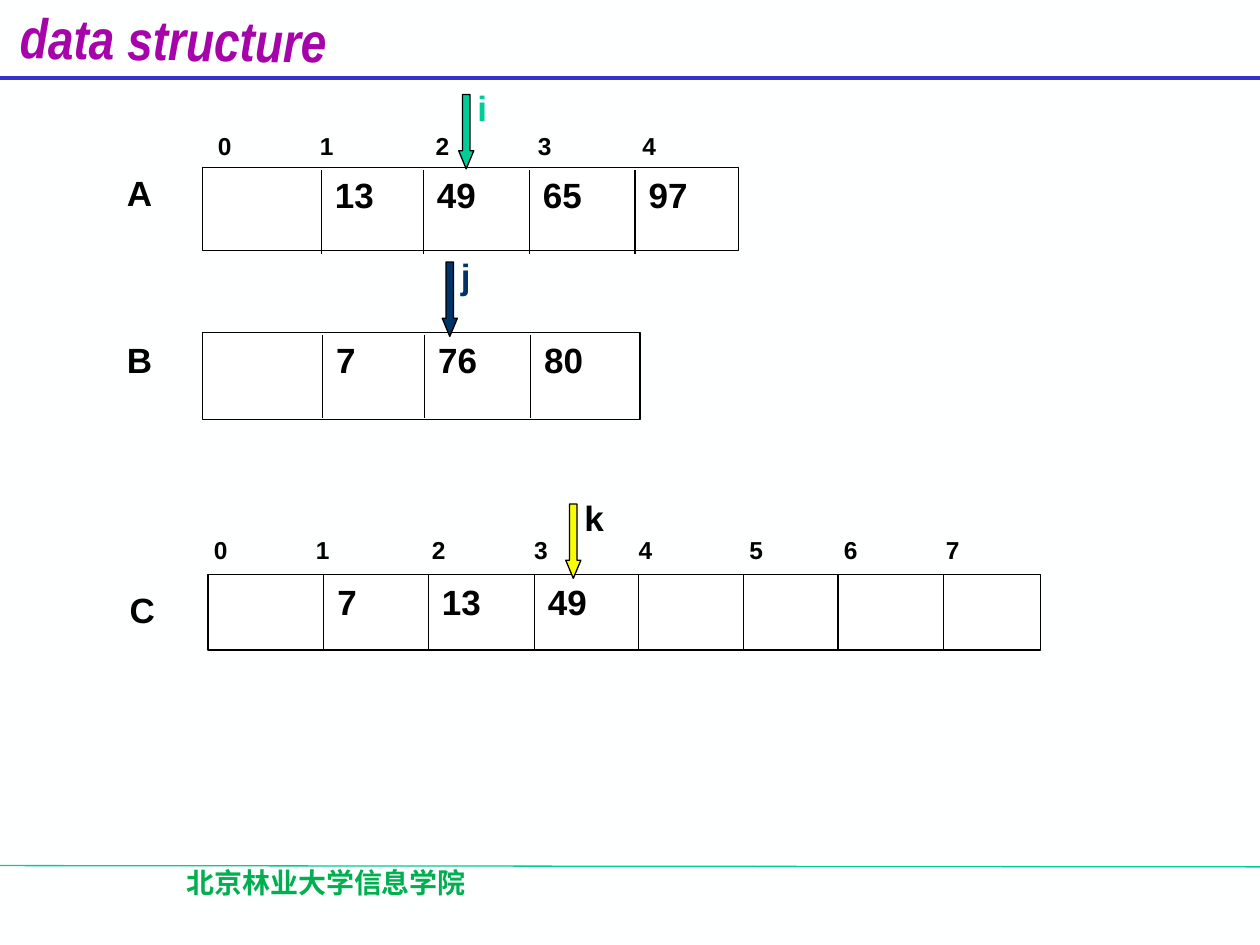
from lxml import etree
from pptx import Presentation
from pptx import util as u
from pptx.dml.color import RGBColor
from pptx.enum import shapes, text
from pptx.oxml.ns import qn

COLORS = {
    "background": "FEFFFF",
    "cell": "FFFFFF",
    "ink": "000000",
    "title": "A603AB",
    "header rule": "3333CC",
    "green": "00CC99",
    "navy": "003366",
    "yellow": "FAFD00",
    "footer": "00B050",
}
INDEX_TABS = [0.81, 1.73, 2.54, 3.37, 4.25, 5, 5.81]

# Each array: name, label place, top, height, column edges, divider span, values
ARRAYS = [
    ("A", (0.91, 1.31), 1.33, 0.66, [1.61, 2.55, 3.36, 4.2, 5.04, 5.86],
     (1.35, 2.02), ["13", "49", "65", "97"]),
    ("B", (0.91, 2.64), 2.64, 0.69, [1.61, 2.56, 3.37, 4.21, 5.08],
     (2.66, 3.32), ["7", "76", "80"]),
    ("C", (0.93, 4.62), 4.56, 0.6,
     [1.65, 2.57, 3.4, 4.24, 5.07, 5.9, 6.65, 7.49, 8.26],
     (4.56, 5.17), ["7", "13", "49"]),
]
# Each pointer: name, arrow left, arrow top, arrow colour, name colour
POINTERS = [
    ("i", 3.64, 0.75, "green", "green"),
    ("j", 3.51, 2.08, "navy", "navy"),
    ("k", 4.49, 4, "yellow", "ink"),
]


def color(name):
    return RGBColor.from_string(COLORS[name])


def style(para, size, ink="ink", face="Arial"):
    font = para.font
    font.name, font.size, font.bold = face, u.Pt(size), True
    font.color.rgb = color(ink)


def add_text(parent, words, left, top, width, height, size=20, ink="ink", face="Arial"):
    box = parent.add_textbox(*map(u.Inches, (left, top, width, height)))
    box.text_frame.word_wrap = True
    para = box.text_frame.paragraphs[0]
    para.text = words
    style(para, size, ink, face)
    return para


def add_line(slide, start, end, ink="ink", weight=0.75):
    line = slide.shapes.add_connector(
        shapes.MSO_CONNECTOR.STRAIGHT, *map(u.Inches, (*start, *end)))
    line.line.color.rgb = color(ink)
    line.line.width = u.Pt(weight)
    etree.SubElement(line._element.spPr, qn("a:effectLst"))


def add_block(parent, kind, left, top, width, height, fill):
    block = parent.add_shape(kind, *map(u.Inches, (left, top, width, height)))
    block.shadow.inherit = False
    block.fill.solid()
    block.fill.fore_color.rgb = color(fill)
    block.line.color.rgb = color("ink")
    block.line.width = u.Pt(0.75)
    return block


def add_title(slide, words):
    title = slide.shapes.title
    title.left, title.top, title.width, title.height = map(
        u.Inches, (0.06, -0.01, 2.8, 0.54))
    title.rotation = 0.8
    frame = title.text_frame
    frame.text = words
    frame.word_wrap = True
    frame.auto_size = text.MSO_AUTO_SIZE.NONE
    frame.vertical_anchor = text.MSO_ANCHOR.TOP
    para = frame.paragraphs[0]
    para.alignment = text.PP_ALIGN.LEFT
    style(para, 32, "title", "Arial Narrow")
    para.font.italic = True


def add_footer(slide, words):
    face = "Noto Sans CJK SC"
    para = add_text(slide.shapes, words, 0.52, 6.82, 4.14, 0.5, 16, "footer", face)
    para.alignment = text.PP_ALIGN.CENTER
    run_properties = para.runs[0].font._element
    etree.SubElement(run_properties, qn("a:ea"), typeface=face)


def add_indices(slide, count, left, top, width):
    para = add_text(slide.shapes, "", left, top, width, 0.34, 14)
    properties = para._p.get_or_add_pPr()
    tab_list = etree.Element(qn("a:tabLst"))
    for stop in INDEX_TABS[:count - 1]:
        etree.SubElement(tab_list, qn("a:tab"), pos=str(u.Inches(stop)), algn="l")
    properties.insert(0, tab_list)
    para.text = "\t".join(map(str, range(count)))


def add_array(slide, name, label_place, top, height, edges, span, values):
    add_block(slide.shapes, shapes.MSO_SHAPE.RECTANGLE,
              edges[0], top, edges[-1] - edges[0], height, "cell")
    for edge in edges[1:-1]:
        add_line(slide, (edge, span[0]), (edge, span[1]))
    for edge, value in zip(edges[1:], values):
        add_text(slide.shapes, value, edge + 0.01, top, 0.67, 0.44)
    add_text(slide.shapes, name, *label_place, 0.67, 0.44)


def add_pointer(slide, name, left, top, fill, ink):
    group = slide.shapes.add_group_shape()
    arrow = add_block(group.shapes, shapes.MSO_SHAPE.DOWN_ARROW,
                      left, top, 0.12, 0.59, fill)
    arrow.adjustments[1] = 1.2
    add_text(group.shapes, name, left + 0.05, top - 0.11, 0.53, 0.44, ink=ink)


def main():
    deck = Presentation()
    deck.slide_width, deck.slide_height = u.Inches(10), u.Inches(7.5)
    slide = deck.slides.add_slide(deck.slide_layouts[5])
    slide.background.fill.solid()
    slide.background.fill.fore_color.rgb = color("background")

    # Page frame
    add_line(slide, (0, 6.87), (10, 6.88), "green")
    add_line(slide, (0, 0.62), (10, 0.62), "header rule", 2.25)
    add_title(slide, "data structure")
    add_footer(slide, "北京林业大学信息学院")

    # Arrays with their indices
    add_indices(slide, 5, 1.63, 0.99, 4.25)
    for array in ARRAYS:
        add_array(slide, *array)
    add_indices(slide, 8, 1.6, 4.2, 6.66)

    # Merge pointers
    for pointer in POINTERS:
        add_pointer(slide, *pointer)

    deck.save("out.pptx")


if __name__ == "__main__":
    main()
